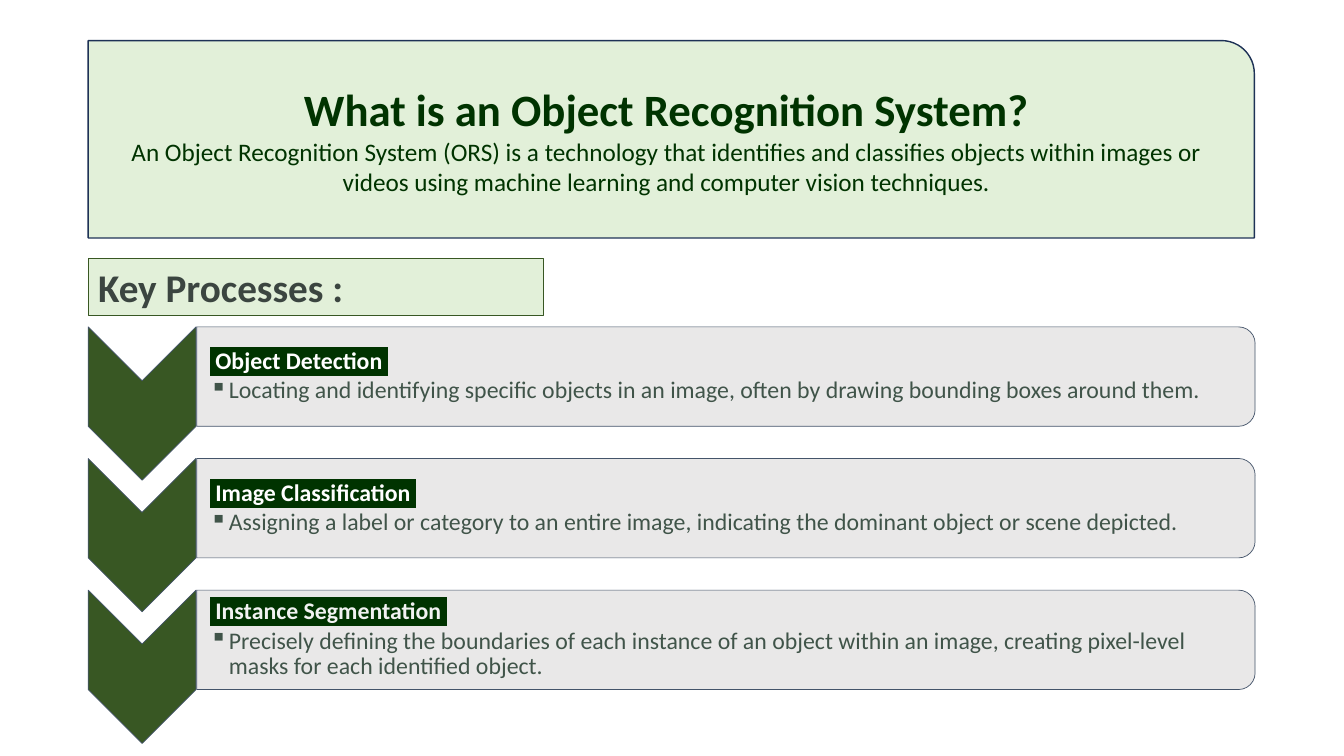
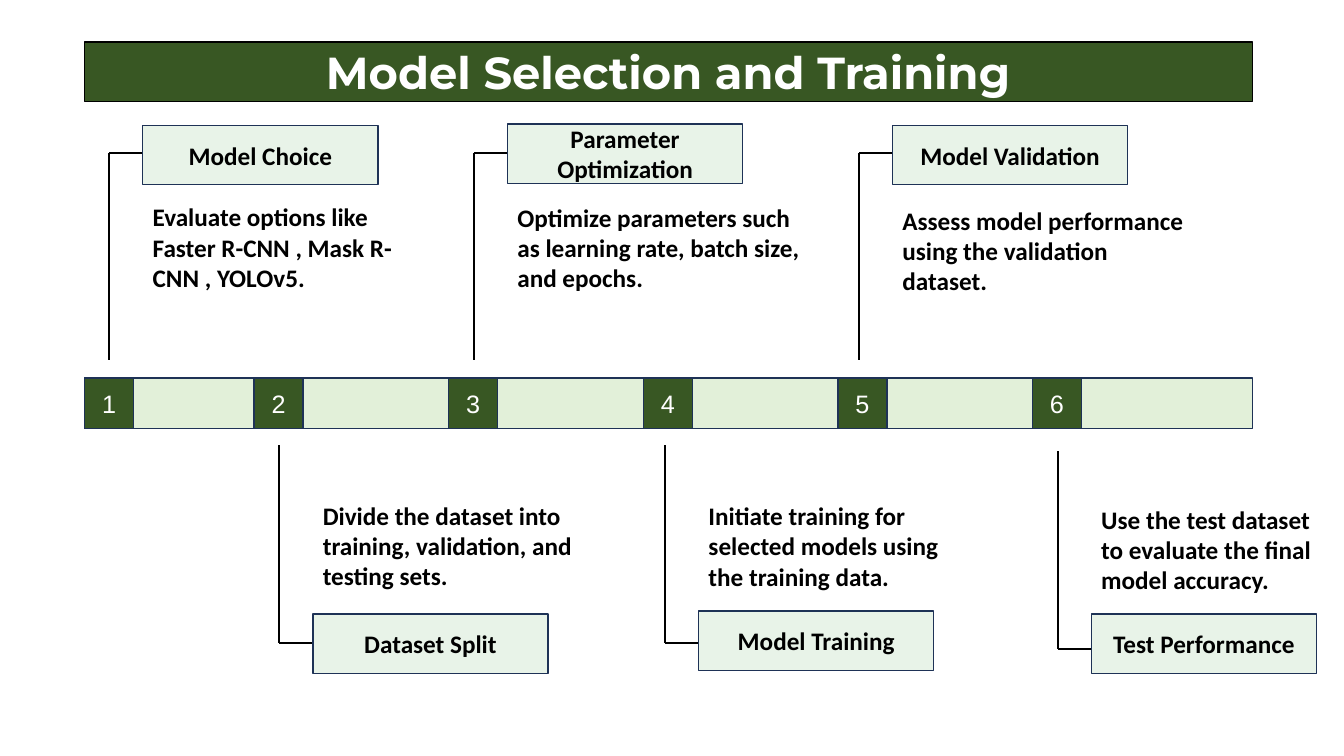
from lxml import etree
from pptx import Presentation
from pptx.dml.color import RGBColor
from pptx.enum.shapes import MSO_CONNECTOR, MSO_SHAPE as SHAPE
from pptx.enum.text import MSO_ANCHOR as ANCHOR, PP_ALIGN as ALIGN
from pptx.oxml.ns import qn
from pptx.util import Pt

GREEN, DEEP, PALE, MINT = "385723", "003300", "E2F0D9", "E8F3E8"
NAVY, SLATE, GREY = "1E3256", "44546A", "E7E6E6"
BLACK, WHITE, BODY = "000000", "FFFFFF", "405449"


def write(box, text, size=18, color=BLACK, font="Calibri", bold=False,
          align=ALIGN.LEFT, para=None, mark=None):
    """Add a paragraph to box, or a run to para; mark is a highlight colour."""
    frame = box.text_frame
    frame.word_wrap = True
    if para is None:
        para = frame.paragraphs[0]
        if para.runs:
            para = frame.add_paragraph()
        para.alignment = align
    run = para.add_run()
    run.text = text
    run.font.size, run.font.bold, run.font.name = Pt(size), bold, font
    run.font.color.rgb = RGBColor.from_string(color)
    if mark:
        light = etree.Element(qn("a:highlight"))
        etree.SubElement(light, qn("a:srgbClr"), val=mark)
        run.font.fill._xPr.find(qn("a:solidFill")).addnext(light)
    return para


def draw(slide, kind, x, y, w, h, fill, edge, width=1, turn=False):
    """Add a shape that covers the given box, also when turned by 90 degrees."""
    if turn:
        x, y, w, h = x + (w - h) / 2, y + (h - w) / 2, h, w
    shape = slide.shapes.add_shape(kind, Pt(x), Pt(y), Pt(w), Pt(h))
    shape.rotation = 90 if turn else 0
    shape.shadow.inherit = False
    shape.fill.solid()
    shape.fill.fore_color.rgb = RGBColor.from_string(fill)
    shape.line.color.rgb = RGBColor.from_string(edge)
    shape.line.width = Pt(width)
    shape.text_frame.vertical_anchor = ANCHOR.MIDDLE
    return shape


deck = Presentation()
deck.slide_width, deck.slide_height = Pt(960), Pt(540)
blank = deck.slide_layouts[6]

# Slide 1: definition and key processes
slide = deck.slides.add_slide(blank)
head = draw(slide, SHAPE.ROUND_1_RECTANGLE, 63, 29, 833, 141, PALE, NAVY)
para = write(head, "What is an Object Recognition System?", size=32,
             color=DEEP, bold=True, align=ALIGN.CENTER)
para.add_line_break()
write(head, "An Object Recognition System (ORS) is a technology that identifies "
      "and classifies objects within images or videos using machine learning "
      "and computer vision techniques.", color=DEEP, para=para)

tasks = [
    ("Object Detection", WHITE,
     "Locating and identifying specific objects in an image, often by drawing "
     "bounding boxes around them."),
    ("Image Classification", WHITE,
     "Assigning a label or category to an entire image, indicating the dominant "
     "object or scene depicted."),
    ("Instance Segmentation", "F2F2F2",
     "Precisely defining the boundaries of each instance of an object within an "
     "image, creating pixel-level masks for each identified object."),
]
for i, (name, tint, note) in enumerate(tasks):
    top = 233.5 + 94 * i
    draw(slide, SHAPE.CHEVRON, 63, top, 77, 109.5, GREEN, SLATE, 0.5, turn=True)
    bar = draw(slide, SHAPE.ROUND_2_SAME_RECTANGLE, 140.5, top, 756, 71,
               GREY, SLATE, 0.5, turn=True)
    shade = bar.fill._xPr.find(qn("a:solidFill"))[0]
    etree.SubElement(shade, qn("a:alpha"), val="90000")

    box = slide.shapes.add_textbox(Pt(140.5), Pt(top + 3.5), Pt(753), Pt(64))
    frame = box.text_frame
    frame.vertical_anchor = ANCHOR.MIDDLE
    frame.margin_left = Pt(9.5)
    frame.margin_top = frame.margin_right = frame.margin_bottom = Pt(0.75)
    title = write(box, f" {name} ", size=17, color=tint, bold=True, mark=DEEP)
    item = write(box, note, size=17, color=BODY)
    for para, tag, sign in ((title, "a:buNone", {}),
                            (item, "a:buChar", {"char": "▪"})):
        para.line_spacing, para.space_after = 0.9, Pt(2.5)
        props = para._p.get_or_add_pPr()
        props.set("marL", str(Pt(13.5)))
        props.set("indent", str(-Pt(13.5)))
        etree.SubElement(props, qn(tag), **sign)

label = draw(slide, SHAPE.RECTANGLE, 63, 184.5, 325, 41, PALE, GREEN, 0.75)
label.text_frame.vertical_anchor = ANCHOR.TOP
write(label, "Key Processes :", size=28, color="3B4540", bold=True)

# Slide 2: timeline of six steps
slide = deck.slides.add_slide(blank)
head = draw(slide, SHAPE.RECTANGLE, 60.5, 30, 834, 42.5, GREEN, BLACK)
write(head, "Model Selection and Training", size=32, color=WHITE,
      font="Montserrat", bold=True, align=ALIGN.CENTER)
draw(slide, SHAPE.RECTANGLE, 60.5, 270, 834, 36, PALE, NAVY)

# stem x, stem start, stem end, label top, label width, note top, note width
steps = [
    (78, 257, 109, 89.5, 168, 140.5, 213, "Model Choice",
     ["Evaluate options like Faster R-CNN , Mask R-CNN , YOLOv5."]),
    (199.5, 318, 459.5, 438.5, 168, 353.5, 213, "Dataset Split",
     ["Divide the dataset into training, validation, and testing sets."]),
    (338.5, 257, 109, 88.5, 168, 141, 225, "Parameter Optimization",
     ["Optimize parameters such as learning rate, batch size, and epochs."]),
    (475, 318, 459.5, 436.5, 168, 354, 213, "Model Training",
     ["Initiate training for selected models using", "the training data."]),
    (613.5, 257, 109, 89.5, 168, 143, 221, "Model Validation",
     ["Assess model performance using the validation dataset."]),
    (755.5, 322.5, 463.5, 438.5, 161, 356.5, 168, "Test Performance",
     ["Use the test dataset to evaluate the final model accuracy."]),
]
for i, (x, start, end, top, wide, low, span, name, notes) in enumerate(steps):
    left = 181.5 + 139 * (i - 1) if i else 60.5
    cell = draw(slide, SHAPE.RECTANGLE, left, 270, 35, 36, GREEN, NAVY)
    write(cell, str(i + 1), color=WHITE, font="Arial", align=ALIGN.CENTER)

    side = x + 24
    for ends in ((x, start, x, end), (x, end, side, end)):
        line = slide.shapes.add_connector(MSO_CONNECTOR.STRAIGHT,
                                          *[Pt(n) for n in ends])
        line.line.color.rgb = RGBColor.from_string(BLACK)
        line.line.width = Pt(1.5)
        etree.SubElement(line._element.spPr, qn("a:effectLst"))

    label = draw(slide, SHAPE.RECTANGLE, side, top, wide, 42.5, MINT, NAVY)
    write(label, name, bold=True, align=ALIGN.CENTER)
    box = slide.shapes.add_textbox(Pt(side), Pt(low), Pt(span), Pt(72.5))
    for note in notes:
        write(box, note, bold=True)

deck.save("out.pptx")
